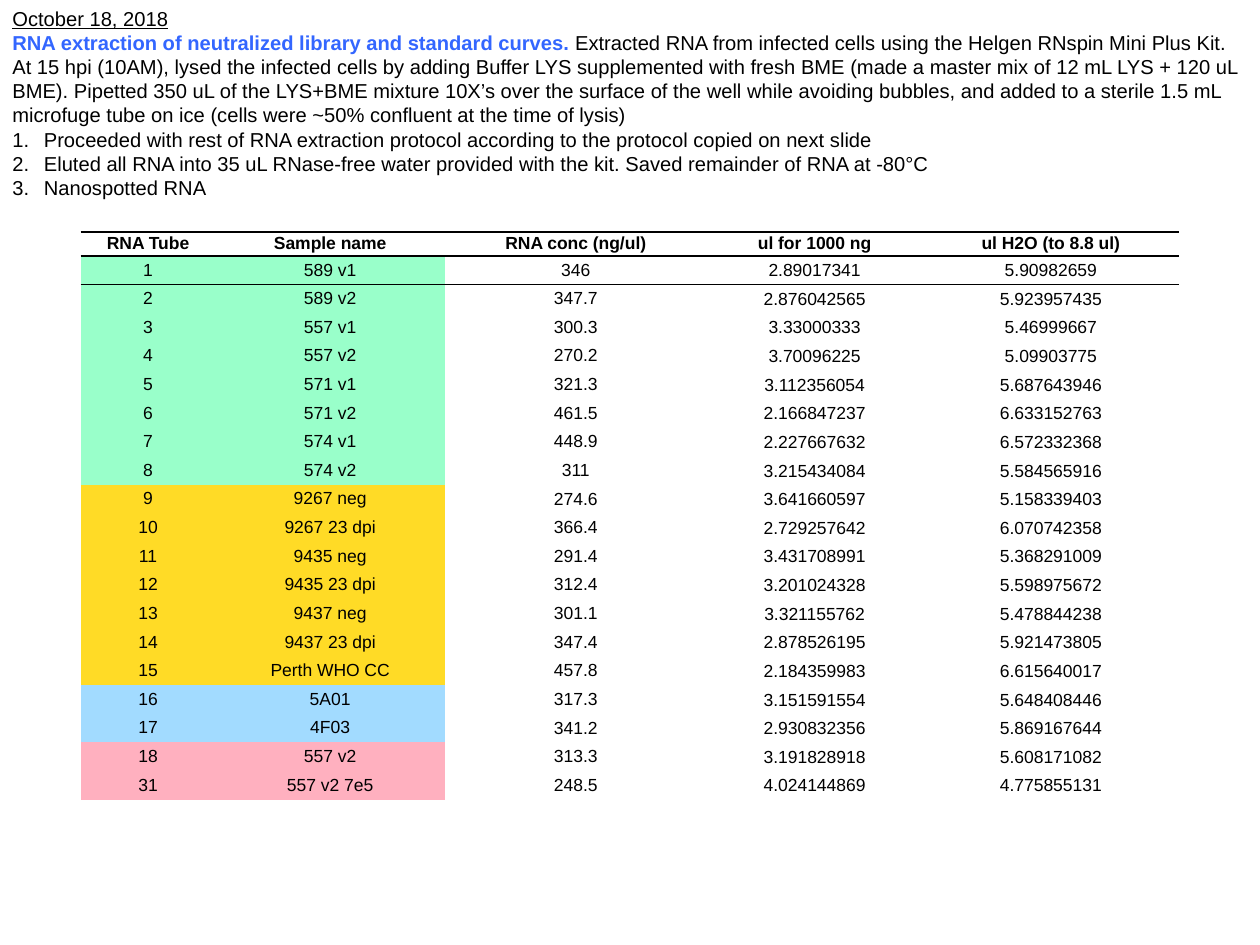
"""Build the RNA extraction notebook slide with its dilution table."""
from dataclasses import dataclass

from pptx import Presentation
from pptx.dml.color import RGBColor
from pptx.enum.text import MSO_ANCHOR, PP_ALIGN
from pptx.oxml import parse_xml
from pptx.oxml.ns import nsdecls
from pptx.util import Inches, Pt

FONT = "Arial"
BLACK, BLUE = "000000", "3366FF"
GREEN, YELLOW, SKY, PINK = "99FFCA", "FFDB26", "A2DBFF", "FFB0BF"
PLAIN_STYLE = "{2D5ABB26-0587-4C30-8999-92F81FD0307C}"
RNA_NG, TOTAL_UL = 1000, 8.8
TABLE_HEIGHT, HEADER_HEIGHT = 4.41, 0.19
COLUMN_WIDTHS = (1.07, 1.82, 2.08, 1.71, 2.04)
HEADERS = ("RNA Tube", "Sample name", "RNA conc (ng/ul)", "ul for 1000 ng", "ul H2O (to 8.8 ul)")

TITLE = "RNA extraction of neutralized library and standard curves. "
SUMMARY = (
    "Extracted RNA from infected cells using the Helgen RNspin Mini Plus Kit. "
    "At 15 hpi (10AM), lysed the infected cells by adding Buffer LYS supplemented with fresh BME "
    "(made a master mix of 12 mL LYS + 120 uL BME). Pipetted 350 uL of the LYS+BME mixture 10X’s "
    "over the surface of the well while avoiding bubbles, and added to a sterile 1.5 mL "
    "microfuge tube on ice (cells were ~50% confluent at the time of lysis)"
)
STEPS = (
    "Proceeded with rest of RNA extraction protocol according to the protocol copied on next slide",
    "Eluted all RNA into 35 uL RNase-free water provided with the kit. Saved remainder of RNA at -80°C",
    "Nanospotted RNA",
)


@dataclass(frozen=True)
class Sample:
    """One RNA tube with its measured concentration in ng/ul."""
    tube: int
    name: str
    conc: float
    color: str

    def values(self) -> tuple[str, ...]:
        """Return the row's texts, with the two volumes worked out."""
        rna = RNA_NG / self.conc
        volumes = (f"{volume:.9f}".rstrip("0") for volume in (rna, TOTAL_UL - rna))
        return (str(self.tube), self.name, f"{self.conc:g}", *volumes)


SAMPLES = (
    Sample(1, "589 v1", 346, GREEN),
    Sample(2, "589 v2", 347.7, GREEN),
    Sample(3, "557 v1", 300.3, GREEN),
    Sample(4, "557 v2", 270.2, GREEN),
    Sample(5, "571 v1", 321.3, GREEN),
    Sample(6, "571 v2", 461.5, GREEN),
    Sample(7, "574 v1", 448.9, GREEN),
    Sample(8, "574 v2", 311, GREEN),
    Sample(9, "9267 neg", 274.6, YELLOW),
    Sample(10, "9267 23 dpi", 366.4, YELLOW),
    Sample(11, "9435 neg", 291.4, YELLOW),
    Sample(12, "9435 23 dpi", 312.4, YELLOW),
    Sample(13, "9437 neg", 301.1, YELLOW),
    Sample(14, "9437 23 dpi", 347.4, YELLOW),
    Sample(15, "Perth WHO CC", 457.8, YELLOW),
    Sample(16, "5A01", 317.3, SKY),
    Sample(17, "4F03", 341.2, SKY),
    Sample(18, "557 v2", 313.3, PINK),
    Sample(31, "557 v2 7e5", 248.5, PINK),
)


def rgb(color: str) -> RGBColor:
    """Turn a hex string into a colour."""
    return RGBColor.from_string(color)


def add_span(para, text: str, *, size: float = 11.5, color: str = BLACK,
             bold: bool = False, underline: bool = False) -> None:
    """Add formatted text to a paragraph."""
    span = para.add_run()
    span.text = text
    font = span.font
    font.name, font.size, font.bold, font.underline = FONT, Pt(size), bold, underline
    font.color.rgb = rgb(color)


def number_paragraph(para) -> None:
    """Give a paragraph an automatic number and a hanging indent."""
    properties = para._p.get_or_add_pPr()
    properties.set("marL", str(Inches(0.25)))
    properties.set("indent", str(Inches(-0.25)))
    properties.append(parse_xml(f'<a:buFont {nsdecls("a")} typeface="+mj-lt"/>'))
    properties.append(parse_xml(f'<a:buAutoNum {nsdecls("a")} type="arabicPeriod"/>'))


def add_notes_text(page) -> None:
    """Add the dated protocol text and its numbered steps."""
    box = page.shapes.add_textbox(0, 0, Inches(10), Inches(1.84))
    frame = box.text_frame
    frame.word_wrap = True
    add_span(frame.paragraphs[0], "October 18, 2018", underline=True)
    para = frame.add_paragraph()
    add_span(para, TITLE, color=BLUE, bold=True)
    add_span(para, SUMMARY)
    for step in STEPS:
        para = frame.add_paragraph()
        number_paragraph(para)
        add_span(para, step)


def add_borders(cell, sides: str) -> None:
    """Draw a black line on the given cell sides, such as "TB"."""
    properties = cell._tc.get_or_add_tcPr()
    for side in sides:
        properties.append(parse_xml(
            f'<a:ln{side} {nsdecls("a")} w="{Pt(1)}"><a:solidFill>'
            f'<a:srgbClr val="{BLACK}"/></a:solidFill></a:ln{side}>'))


def fill_cell(cell, text: str, *, color: str | None = None, bold: bool = False,
              borders: str = "", spacing: float = 1.0, padding: tuple[float, float] = (0.01, 0)) -> None:
    """Write centred text into a cell and set its borders and fill."""
    add_borders(cell, borders)
    if color:
        cell.fill.solid()
        cell.fill.fore_color.rgb = rgb(color)
    else:
        cell.fill.background()
    cell.margin_left = cell.margin_right = Inches(0.01)
    cell.margin_top, cell.margin_bottom = map(Inches, padding)
    cell.vertical_anchor = MSO_ANCHOR.MIDDLE
    para = cell.text_frame.paragraphs[0]
    para.alignment = PP_ALIGN.CENTER
    para.line_spacing = spacing
    add_span(para, text, size=10, bold=bold)


def add_sample_table(page) -> None:
    """Add the table of tubes, concentrations and volumes."""
    frame = page.shapes.add_table(len(SAMPLES) + 1, len(HEADERS), Inches(0.64), Inches(1.84),
                                  Inches(sum(COLUMN_WIDTHS)), Inches(TABLE_HEIGHT))
    table = frame.table
    table.first_row = table.horz_banding = False
    table._tbl.tblPr.find("{*}tableStyleId").text = PLAIN_STYLE
    for column, width in zip(table.columns, COLUMN_WIDTHS):
        column.width = Inches(width)
    for row in table.rows:
        row.height = Inches((TABLE_HEIGHT - HEADER_HEIGHT) / len(SAMPLES))
    table.rows[0].height = Inches(HEADER_HEIGHT)

    for index, header in enumerate(HEADERS):
        fill_cell(table.cell(0, index), header, bold=True, borders="TB", spacing=0.9)
    for row_index, sample in enumerate(SAMPLES, start=1):
        for index, value in enumerate(sample.values()):
            is_label = index < 2
            fill_cell(table.cell(row_index, index), value,
                      color=sample.color if is_label else None,
                      borders="T" if row_index == 1 else "",
                      spacing=0.9 if is_label else 1.0,
                      padding=(0.03, 0.03) if index == 2 else (0.01, 0))


def main() -> None:
    """Build and save the slide."""
    deck = Presentation()
    deck.slide_width, deck.slide_height = Inches(10), Inches(7.5)
    page = deck.slides.add_slide(deck.slide_layouts[6])
    add_notes_text(page)
    add_sample_table(page)
    deck.save("out.pptx")


if __name__ == "__main__":
    main()
